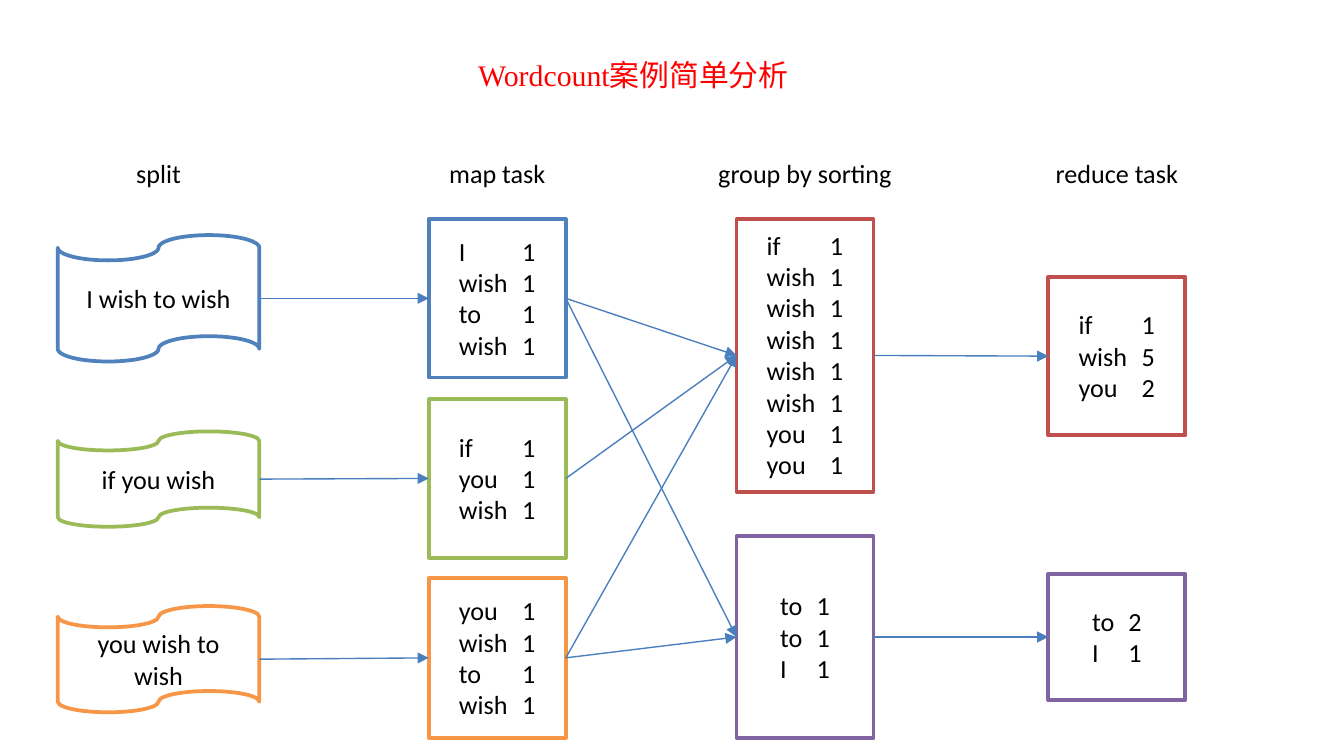
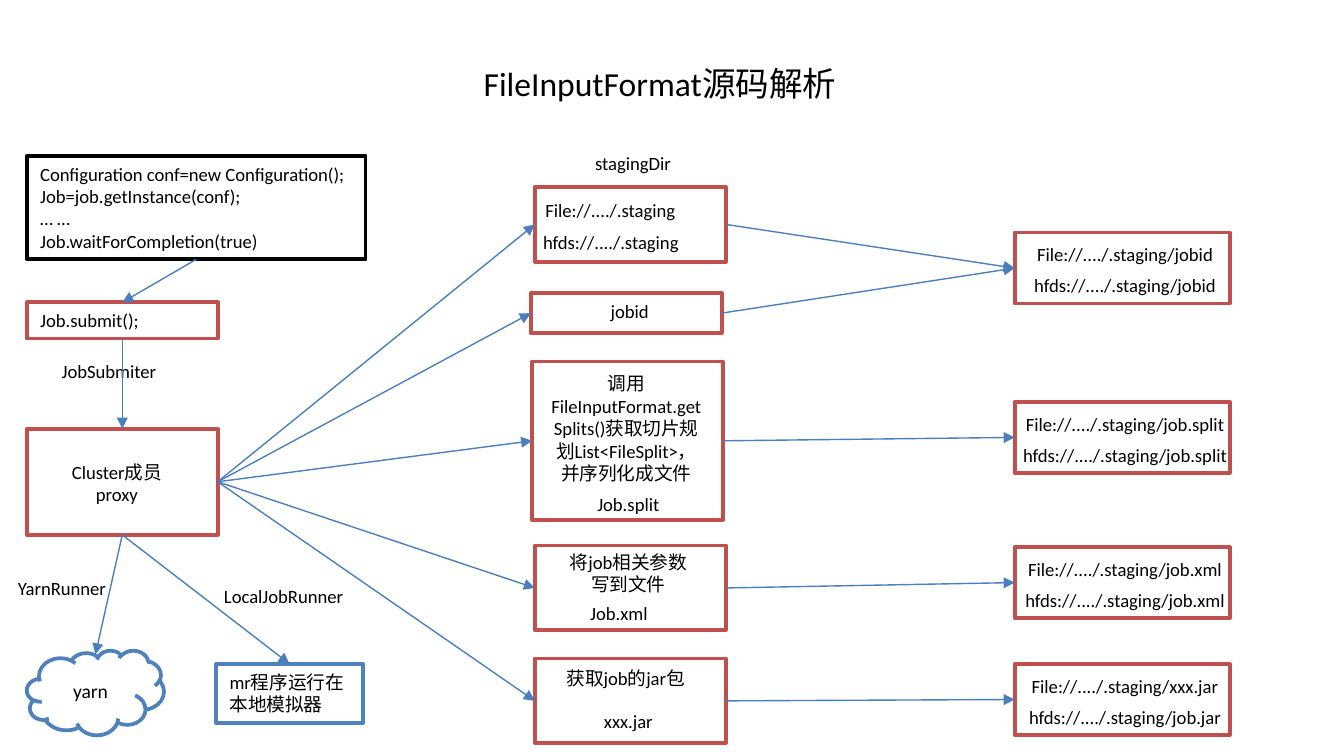
from lxml.etree import SubElement
from pptx import Presentation
from pptx.dml.color import RGBColor
from pptx.enum.shapes import MSO_CONNECTOR, MSO_SHAPE
from pptx.enum.text import MSO_ANCHOR, PP_ALIGN
from pptx.oxml.ns import qn
from pptx.util import Inches, Pt

COLOURS = {
    "white": "FFFFFF",
    "black": "000000",
    "title_red": "FF0000",
    "blue": "4F81BD",
    "green": "9BBB59",
    "orange": "F79646",
    "red": "C0504D",
    "purple": "8064A2",
    "arrow": "4B7EBC",
}
TOP, LEFT, BOTTOM, RIGHT = range(4)
CENTRE = PP_ALIGN.CENTER


def colour(name):
    """Return the named palette colour."""
    return RGBColor.from_string(COLOURS[name])


def write_text(shape, lines, size=10, font="Calibri", ink="black", align=CENTRE,
               anchor=MSO_ANCHOR.TOP, wrap=True, inset=0.1, tab=None):
    """Write one paragraph per line into a shape, in a single format."""
    frame = shape.text_frame
    frame.word_wrap = wrap
    frame.vertical_anchor = anchor
    frame.margin_left = frame.margin_right = Inches(inset)
    for index, line in enumerate(lines):
        paragraph = frame.add_paragraph() if index else frame.paragraphs[0]
        paragraph.alignment = align
        run = paragraph.add_run()
        run.text = line
        run.font.size = Pt(size)
        run.font.name = font
        run.font.color.rgb = colour(ink)
        if tab:
            stops = SubElement(paragraph._p.get_or_add_pPr(), qn("a:tabLst"))
            SubElement(stops, qn("a:tab"), pos=str(Inches(tab)), algn="l")


def add_label(slide, box, *lines, **text_format):
    """Add a text box at (left, top, width, height)."""
    shape = slide.shapes.add_textbox(*map(Inches, box))
    write_text(shape, lines, **text_format)
    return shape


def add_frame(slide, box, outline, *lines, kind=MSO_SHAPE.RECTANGLE, **text_format):
    """Add an outlined white shape, with text when lines are given."""
    shape = slide.shapes.add_shape(kind, *map(Inches, box))
    shape.shadow.inherit = False
    shape.fill.solid()
    shape.fill.fore_color.rgb = colour("white")
    shape.line.color.rgb = colour(outline)
    shape.line.width = Pt(2)
    if lines:
        write_text(shape, lines, **text_format)
    return shape


def add_arrow(slide, start, end, start_side=RIGHT, end_side=LEFT):
    """Draw an arrow from a side of one shape to a side of another or to a point."""
    point = (0, 0) if hasattr(end, "shape_id") else end
    arrow = slide.shapes.add_connector(MSO_CONNECTOR.STRAIGHT, 0, 0, *map(Inches, point))
    arrow.begin_connect(start, start_side)
    if hasattr(end, "shape_id"):
        arrow.end_connect(end, end_side)
    arrow.line.color.rgb = colour("arrow")
    arrow.line.width = Pt(0.75)
    SubElement(arrow.line._get_or_add_ln(), qn("a:tailEnd"), type="triangle")
    SubElement(arrow._element.spPr, qn("a:effectLst"))


def add_title(slide, box, title, **text_format):
    """Add the slide title."""
    add_label(slide, box, title, align=PP_ALIGN.LEFT, **text_format)


def add_heading(slide, region, heading, heading_width):
    """Centre a heading at the top of a column."""
    left, top, width = region
    add_label(slide, (left + (width - heading_width) / 2, top, heading_width, 0.34),
              heading, size=14)


def add_split_column(slide, region):
    """Add the input splits as punched tapes and return them."""
    left, top, width = region
    add_heading(slide, region, "split", 0.87)
    splits = [
        (0.63, 0.94, "blue", "I wish to wish"),
        (2.09, 0.71, "green", "if you wish"),
        (3.39, 0.79, "orange", "you wish to wish"),
    ]
    return [
        add_frame(slide, (left, top + offset, width, height), outline, text, size=14,
                  kind=MSO_SHAPE.FLOWCHART_PUNCHED_TAPE, anchor=MSO_ANCHOR.MIDDLE)
        for offset, height, outline, text in splits
    ]


def add_count_column(slide, region, heading, heading_width, cards):
    """Add a column of word counts and return its frames."""
    left, top, width = region
    add_heading(slide, region, heading, heading_width)
    frames = []
    for offset, height, outline, tab, counts in cards:
        frames.append(add_frame(slide, (left, top + offset, width, height), outline))
        text_width = 0.71 if tab < 0.4 else 0.87
        text_height = 0.1 + 0.235 * len(counts)
        box = (left + (width - text_width) / 2, top + offset + (height - text_height) / 2,
               text_width, text_height)
        lines = ["\t".join(count.split()) for count in counts]
        add_label(slide, box, *lines, size=14, align=PP_ALIGN.LEFT,
                  inset=(text_width - tab - 0.1) / 2, tab=tab)
    return frames


def build_wordcount_slide(slide):
    """Show the word count from split to reduce."""
    add_title(slide, (3.46, 0.37, 2.54, 0.37), "Wordcount案例简单分析",
              size=16, font="Times New Roman", ink="title_red")
    top, card_width, wide, narrow = 1.12, 1.02, 0.47, 0.27
    splits = add_split_column(slide, (0.43, top, 1.5))
    maps = add_count_column(slide, (3.19, top, card_width), "map task", 1.05, [
        (0.51, 1.18, "blue", wide, ["I 1", "wish 1", "to 1", "wish 1"]),
        (1.85, 1.18, "green", wide, ["if 1", "you 1", "wish 1"]),
        (3.18, 1.19, "orange", wide, ["you 1", "wish 1", "to 1", "wish 1"]),
    ])
    groups = add_count_column(slide, (5.48, top, card_width), "group by sorting", 1.63, [
        (0.51, 2.03, "red", wide, ["if 1"] + ["wish 1"] * 5 + ["you 1"] * 2),
        (2.87, 1.5, "purple", narrow, ["to 1", "to 1", "I 1"]),
    ])
    reduces = add_count_column(slide, (7.8, top, card_width), "reduce task", 1.25, [
        (0.94, 1.18, "red", wide, ["if 1", "wish 5", "you 2"]),
        (3.15, 0.94, "purple", narrow, ["to 2", "I 1"]),
    ])
    for start, end in [*zip(splits, maps), *zip(groups, reduces)]:
        add_arrow(slide, start, end)
    for source, target in [(0, 0), (0, 1), (1, 0), (2, 0), (2, 1)]:
        add_arrow(slide, maps[source], groups[target])


def add_submission(slide, left, top):
    """Add the job submission down to its runners and return the cluster frame."""
    configuration = add_frame(
        slide, (left, top, 2.52, 0.77), "black",
        "Configuration conf=new Configuration();", "Job=job.getInstance(conf);",
        "… …", "Job.waitForCompletion(true)", align=PP_ALIGN.LEFT)
    submit = add_frame(slide, (left, top + 1.09, 1.42, 0.27), "red", "Job.submit();",
                       align=PP_ALIGN.LEFT)
    cluster = add_frame(slide, (left, top + 2.03, 1.42, 0.79), "red")
    add_label(slide, (left + 0.23, top + 2.22, 0.88, 0.44), "Cluster成员", "proxy")
    add_frame(slide, (left, top + 3.68, 1.02, 0.63), "blue", "yarn", size=10.5,
              kind=MSO_SHAPE.CLOUD, anchor=MSO_ANCHOR.MIDDLE)
    simulator = add_frame(slide, (left + 1.41, top + 3.78, 1.09, 0.44), "blue",
                          "mr程序运行在本地模拟器", align=PP_ALIGN.LEFT)
    for label, x, y, width in [("JobSubmiter", 0.15, 1.47, 0.92),
                               ("YarnRunner", -0.18, 3.08, 0.88),
                               ("LocalJobRunner", 1.36, 3.14, 1.1)]:
        add_label(slide, (left + x, top + y, width, 0.27), label, wrap=False)
    add_arrow(slide, configuration, submit, BOTTOM, TOP)
    add_arrow(slide, submit, cluster, BOTTOM, TOP)
    add_arrow(slide, cluster, (left + 0.51, top + 3.71), BOTTOM)
    add_arrow(slide, cluster, simulator, BOTTOM, TOP)
    return cluster


def add_staging(slide, left, top):
    """Add the column of staging steps and return its frames."""
    steps = [(0.03, 0.31, 0.56), (0, 1.1, 0.3), (0.01, 1.61, 1.18),
             (0.03, 2.98, 0.63), (0.03, 3.82, 0.63)]
    frames = [add_frame(slide, (left + x, top + y, 1.42, height), "red")
              for x, y, height in steps]
    labels = [
        ("stagingDir", 0.37, 0, 0.78, 0.27),
        ("File://..../.staging", 0, 0.35, 1.18, 0.27),
        ("hfds://..../.staging", -0.02, 0.59, 1.23, 0.27),
        ("jobid", 0.49, 1.1, 0.49, 0.27),
        ("调用FileInputFormat.getSplits()获取切片规划List<FileSplit>，并序列化成文件",
         0.03, 1.64, 1.36, 0.94),
        ("Job.split", 0.39, 2.54, 0.67, 0.27),
        ("将job相关参数写到文件", 0.14, 2.97, 1.17, 0.44),
        ("Job.xml", 0.34, 3.35, 0.63, 0.27),
        ("获取job的jar包", 0.12, 3.83, 1.17, 0.27),
        ("xxx.jar", 0.44, 4.15, 0.57, 0.27),
    ]
    for label, x, y, width, height in labels:
        add_label(slide, (left + x, top + y, width, height), label,
                  wrap=not label.isascii())
    return frames


def add_job_files(slide, left, top):
    """Add the submitted job files and return their frames."""
    files = [(0, "jobid", "jobid"), (1.26, "job.split", "job.split"),
             (2.34, "job.xml", "job.xml"), (3.21, "xxx.jar", "job.jar")]
    frames = []
    for offset, local_name, cluster_name in files:
        frames.append(add_frame(slide, (left, top + offset, 1.6, 0.53), "red"))
        addresses = [f"File://..../.staging/{local_name}",
                     f"hfds://..../.staging/{cluster_name}"]
        for row, address in enumerate(addresses):
            add_label(slide, (left - 0.05, top + offset + 0.03 + 0.23 * row, 1.74, 0.27),
                      address, wrap=False)
    return frames


def build_source_slide(slide):
    """Show how a submitted job reaches its staging files."""
    add_title(slide, (3.5, 0.42, 2.85, 0.4), "FileInputFormat源码解析", size=18)
    cluster = add_submission(slide, 0.2, 1.16)
    steps = add_staging(slide, 3.95, 1.08)
    files = add_job_files(slide, 7.55, 1.73)
    for step, file in zip(steps, files[:1] + files):
        add_arrow(slide, cluster, step)
        add_arrow(slide, step, file)


def main():
    """Build and save the presentation."""
    presentation = Presentation()
    presentation.slide_width = Inches(10)
    presentation.slide_height = presentation.slide_width * 9 // 16
    for build in (build_wordcount_slide, build_source_slide):
        build(presentation.slides.add_slide(presentation.slide_layouts[6]))
    presentation.save("out.pptx")


if __name__ == "__main__":
    main()
